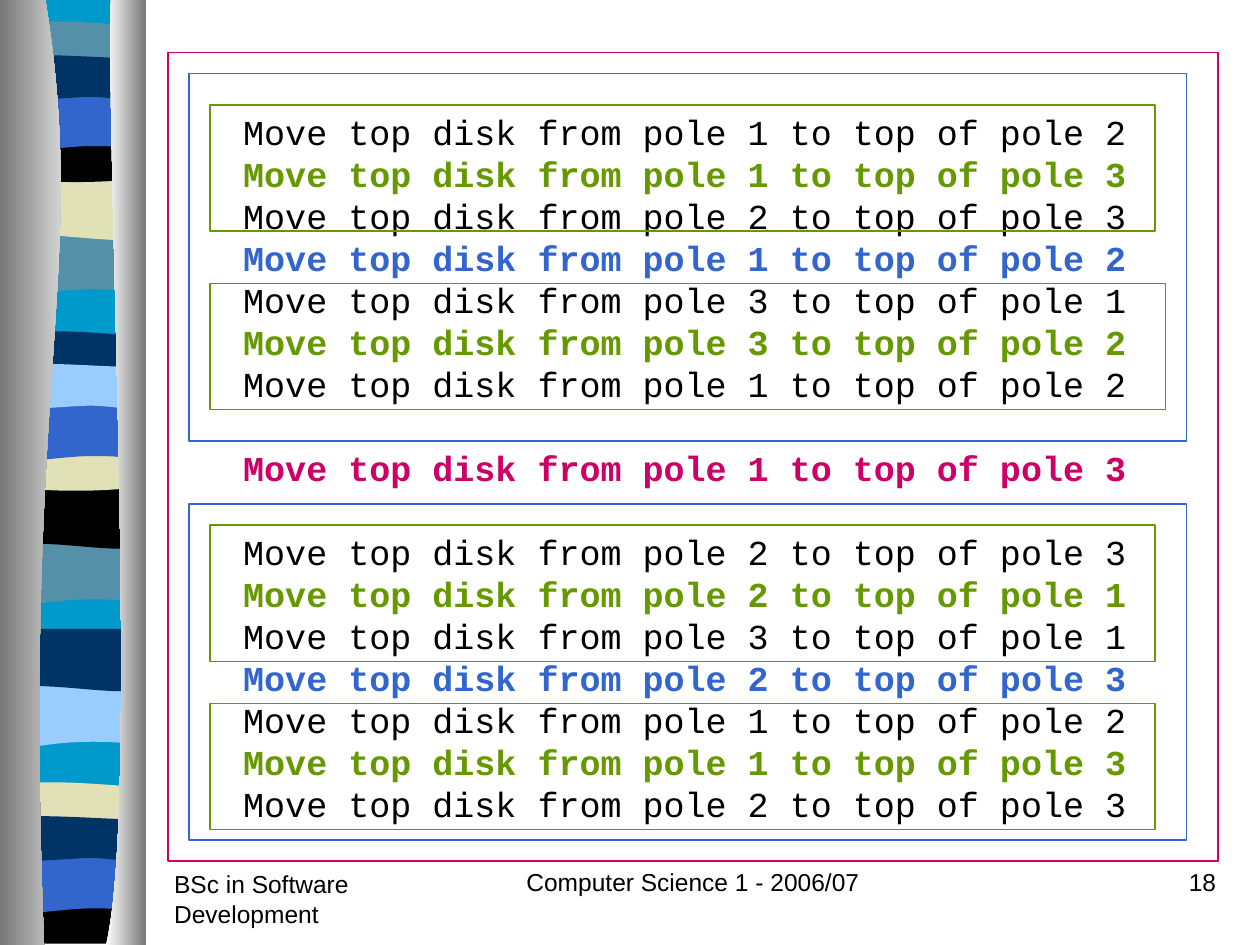
from dataclasses import dataclass

from pptx import Presentation
from pptx.dml.color import RGBColor
from pptx.enum.text import MSO_ANCHOR, PP_ALIGN
from pptx.enum.shapes import MSO_SHAPE
from pptx.oxml.ns import qn
from pptx.util import Inches, Pt


@dataclass(frozen=True)
class Theme:
    ink: str = "000000"
    green: str = "669900"
    blue: str = "3366CC"
    pink: str = "CC0066"
    cyan: str = "0099CC"
    teal: str = "5490A8"
    sand: str = "E1E1B7"
    navy: str = "003366"
    sky: str = "99CCFF"
    white: str = "FFFFFF"
    grey: str = "767676"
    code_font: str = "Courier New"
    code_size: int = 20
    code_line: int = 24
    foot_font: str = "Arial"
    foot_size: int = 14
    frame_line: float = 0.75


CELL = Inches(1) / 12    # layout grid: 120 columns by 90 rows
FINE = Inches(1) / 100   # grid of the ribbon outlines


def rgb(colour):
    return RGBColor.from_string(colour)


def bend(sp, steps):
    """Join the three lines of each curve step into one cubic curve."""
    lines = list(sp.element.iter(qn("a:lnTo")))
    for step in steps:
        group, lines = lines[:len(step) // 2], lines[len(step) // 2:]
        if len(group) == 3:
            curve = group[0].makeelement(qn("a:cubicBezTo"), {})
            group[0].addprevious(curve)
            for line in group:
                curve.append(line[0])
                line.getparent().remove(line)


class SlideBuilder:
    def __init__(self, slide, theme):
        self.s, self.theme = slide, theme

    def grid(self, *lengths):
        return [round(n * CELL) for n in lengths]

    def outline(self, steps, colours, top=0):
        """Steps are (x, y) corners and (x1, y1, x2, y2, x, y) curves.

        One colour gives a plain fill, two a left-to-right gradient.
        """
        start, *rest = [(x * FINE, (y + top) * FINE)
                        for step in steps for x, y in zip(step[::2], step[1::2])]
        builder = self.s.shapes.build_freeform(*start)
        builder.add_line_segments(rest, close=True)
        sp = builder.convert_to_shape()
        bend(sp, steps[1:])
        sp.shadow.inherit = False
        sp.line.fill.background()
        if len(colours) == 1:
            sp.fill.solid()
            sp.fill.fore_color.rgb = rgb(colours[0])
        else:
            sp.fill.gradient()
            sp.fill.gradient_angle = 0
            for stop, colour in zip(sp.fill.gradient_stops, colours):
                stop.color.rgb = rgb(colour)

    def frame(self, box, colour):
        sp = self.s.shapes.add_shape(MSO_SHAPE.RECTANGLE, *self.grid(*box))
        sp.shadow.inherit = False
        sp.fill.background()
        sp.line.color.rgb = rgb(colour)
        sp.line.width = Pt(self.theme.frame_line)

    def text_box(self, box, anchor=MSO_ANCHOR.TOP):
        tf = self.s.shapes.add_textbox(*self.grid(*box)).text_frame
        tf.word_wrap = True
        tf.vertical_anchor = anchor
        return tf

    def paragraph(self, p, text, font, size, colour, align, bold=False):
        p.text = text
        p.alignment = align
        p.font.name, p.font.size, p.font.bold = font, Pt(size), bold
        p.font.color.rgb = rgb(colour)

    def footer(self, box, text, align):
        t = self.theme
        tf = self.text_box(box)
        self.paragraph(tf.paragraphs[0], text, t.foot_font, t.foot_size, t.ink, align)

    def moves(self, box, moves, disks):
        t = self.theme
        colours = {1: t.ink, 2: t.green, 3: t.blue, 4: t.pink}
        tf = self.text_box(box, anchor=MSO_ANCHOR.BOTTOM)
        tf.margin_left = tf.margin_right = 0
        for i, (disk, source, target) in enumerate(moves):
            p = tf.add_paragraph() if i else tf.paragraphs[0]
            self.paragraph(p, f"Move top disk from pole {source} to top of pole {target}",
                           t.code_font, t.code_size, colours[disk],
                           PP_ALIGN.CENTER, bold=disk > 1)
            p.line_spacing = Pt(t.code_line)
            if disk == disks:
                p.space_before = p.space_after = Pt(t.code_line)


def hanoi(disks, source, target, spare):
    if not disks:
        return []
    return (hanoi(disks - 1, source, spare, target)
            + [(disks, source, target)]
            + hanoi(disks - 1, spare, target, source))


# Ribbon band shapes, each drawn from its own top
SWELL = [(114, 0), (114, 47), (39, 39, 24, 55, 6, 47), (6, 0)]
DIP = [(114, 0), (114, 47), (96, 55, 39, 41, 6, 47), (6, 0)]
LENS = [(114, 5), (114, 29), (96, 33, 24, 33, 6, 29), (6, 5),
        (12, 0, 29, 1, 47, 1), (65, 1, 100, 4, 114, 5)]
BOWL = [(114, 0), (114, 32), (96, 38, 24, 38, 6, 32), (6, 0),
        (72, 5, 91, 0, 114, 0)]
ARCH = [(114, 0), (114, 47), (97, 42, 90, 42, 72, 42),
        (54, 42, 22, 47, 6, 47), (6, 0)]
WAVE = [(114, 5), (114, 36), (107, 41, 90, 36, 72, 36),
        (54, 36, 17, 41, 6, 36), (6, 5), (21, 0, 79, 5, 97, 5),
        (115, 5, 110, 5, 114, 5)]
FOOT = [(114, 0), (114, 37), (6, 37), (6, 0), (72, 5, 91, 0, 114, 0)]
BASE = [(114, 0), (114, 747), (6, 747), (6, 0)]
LEFT_PILLAR = [(36, 0), (71, 216, 17, 296, 35, 750), (0, 750), (0, 0)]
RIGHT_PILLAR = [(88, 0), (84, 125, 111, 646, 84, 750), (116, 750), (116, 0)]


def main():
    prs = Presentation()
    prs.slide_width, prs.slide_height = Inches(10), Inches(7.5)
    t = Theme()
    s = SlideBuilder(prs.slides.add_slide(prs.slide_layouts[6]), t)

    # Striped ribbon between two pillars
    bands = [
        (BASE, 0, t.cyan),
        (SWELL, 185, t.teal), (DIP, 141, t.sand), (LENS, 16, t.teal),
        (BOWL, 108, t.ink), (ARCH, 74, t.blue), (WAVE, 41, t.navy),
        (SWELL, 431, t.teal), (DIP, 386, t.ink), (LENS, 262, t.navy),
        (BOWL, 353, t.sand), (ARCH, 320, t.blue), (WAVE, 286, t.sky),
        (SWELL, 544, t.sky), (DIP, 499, t.navy), (LENS, 620, t.sand),
        (FOOT, 712, t.ink), (ARCH, 679, t.blue), (WAVE, 645, t.navy),
    ]
    for steps, top, colour in bands:
        s.outline(steps, [colour], top)
    s.outline(LEFT_PILLAR, [t.grey, t.white])
    s.outline(RIGHT_PILLAR, [t.white, t.grey])

    # Footer
    s.footer((15.4, 82.2, 25, 6), "BSc in Software Development", PP_ALIGN.LEFT)
    s.footer((47, 82, 38, 6), "Computer Science 1 - 2006/07", PP_ALIGN.CENTER)
    s.footer((92, 82, 25, 6), "18", PP_ALIGN.RIGHT)

    # Moves for four disks
    s.moves((22, 5.8, 86.5, 73.3), hanoi(4, 1, 3, 2), disks=4)

    # Nested frames, one colour per recursion level
    frames = [
        (t.pink, [(16, 5, 100, 77)]),
        (t.blue, [(18, 7, 95, 35), (18, 48, 95, 32)]),
        (t.green, [(20, 10, 90, 12), (20, 27, 91, 12),
                   (20, 50, 90, 13), (20, 67, 90, 12)]),
    ]
    for colour, boxes in frames:
        for box in boxes:
            s.frame(box, colour)

    prs.save("out.pptx")


if __name__ == "__main__":
    main()
